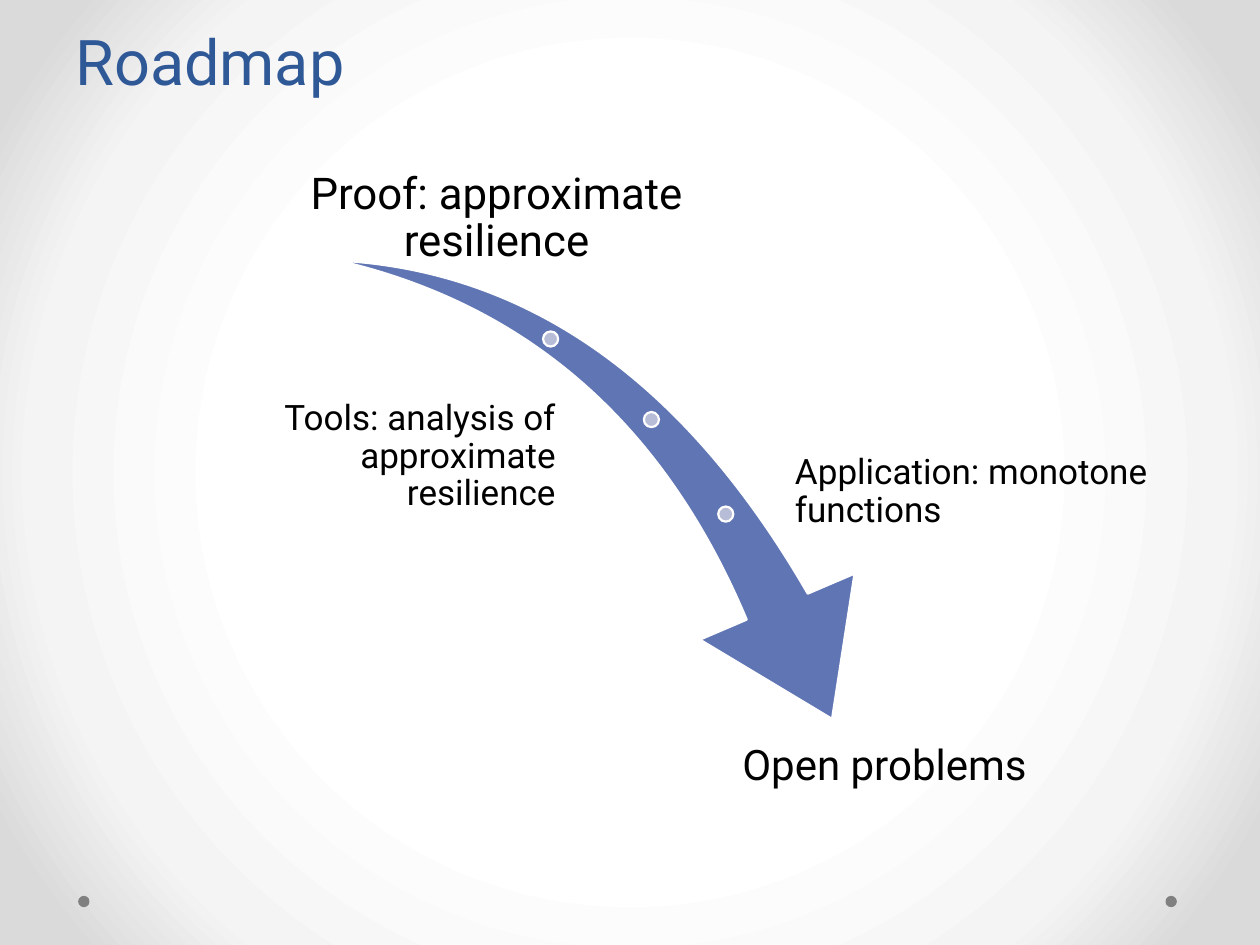
import pptx
import pptx.util
import pptx.dml.color
import pptx.enum.shapes
import pptx.enum.text
import pptx.oxml
import pptx.oxml.ns

SHAPES = pptx.enum.shapes.MSO_SHAPE
ALIGN = pptx.enum.text.PP_ALIGN
ANCHOR = pptx.enum.text.MSO_ANCHOR

WIDTH = pptx.util.Inches(10)
HEIGHT = pptx.util.Inches(7.5)
FONT = "Roboto"
COLORS = {
    "title": "2F5897",
    "text": "000000",
    "arrow": "6076B4",
    "milestone": "B7BDD6",
    "outline": "FFFFFF",
    "corner": "808080",
}
BACKDROP = {50: "FFFFFF", 76: "F4F4F4", 92: "DADADA"}


def color(name):
    return pptx.dml.color.RGBColor.from_string(COLORS[name])


def box(left, top, width, height):
    return (int(WIDTH * left / 100), int(HEIGHT * top / 100),
            int(WIDTH * width / 100), int(HEIGHT * height / 100))


def paint_backdrop(slide):
    slide.background.fill.gradient()
    gradient = slide.element.find(".//" + pptx.oxml.ns.qn("a:gradFill"))
    stops = "".join(
        f'<a:gs pos="{share * 1000}"><a:srgbClr val="{tone}"/></a:gs>'
        for share, tone in BACKDROP.items())
    radial = pptx.oxml.parse_xml(
        f'<a:gradFill {pptx.oxml.ns.nsdecls("a")} rotWithShape="1">'
        f'<a:gsLst>{stops}</a:gsLst><a:path path="circle">'
        '<a:fillToRect l="50000" t="50000" r="50000" b="50000"/>'
        '</a:path></a:gradFill>')
    gradient.getparent().replace(gradient, radial)


def add_figure(slide, kind, bounds, fill, outlined=True):
    figure = slide.shapes.add_shape(kind, *bounds)
    figure.shadow.inherit = False
    figure.fill.solid()
    figure.fill.fore_color.rgb = color(fill)
    if outlined:
        figure.line.color.rgb = color("outline")
        figure.line.width = pptx.util.Pt(1.25)
    else:
        figure.line.fill.background()
    return figure


def add_dot(slide, left, top, diameter, fill, outlined=True):
    bounds = box(left, top, diameter, diameter * WIDTH / HEIGHT)
    add_figure(slide, SHAPES.OVAL, bounds, fill, outlined)


def add_text(slide, text, bounds, size=20, tone="text", align=ALIGN.LEFT,
             anchor=ANCHOR.MIDDLE, spacing=0.9, inset=(0.03, 0.03)):
    frame = slide.shapes.add_textbox(*bounds).text_frame
    frame.word_wrap = True
    frame.vertical_anchor = anchor
    side, edge = map(pptx.util.Inches, inset)
    frame.margin_left = frame.margin_right = side
    frame.margin_top = frame.margin_bottom = edge
    paragraph = frame.paragraphs[0]
    paragraph.alignment = align
    paragraph.line_spacing = spacing
    run = paragraph.add_run()
    run.text = text
    run.font.name = FONT
    run.font.size = pptx.util.Pt(size)
    run.font.color.rgb = color(tone)


def main():
    deck = pptx.Presentation()
    deck.slide_width, deck.slide_height = WIDTH, HEIGHT
    slide = deck.slides.add_slide(deck.slide_layouts[6])
    paint_backdrop(slide)

    for left in (6.2, 92.5):
        add_dot(slide, left, 94.8, 0.9, "corner", outlined=False)

    add_text(slide, "Roadmap", box(5, 0, 90, 11.07), size=36, tone="title",
             anchor=ANCHOR.BOTTOM, spacing=pptx.util.Pt(58),
             inset=(0.1, 0.05))

    road = add_figure(slide, SHAPES.SWOOSH_ARROW,
                      box(25.8, 29.47, 46.1, 42.8), "arrow")
    road.rotation = 73.3
    road.adjustments[0], road.adjustments[1] = 0.163, 0.314

    for left, top in ((43.1, 35.07), (51.1, 43.6), (57, 53.6)):
        add_dot(slide, left, top, 1.2, "milestone")

    add_text(slide, "Proof: approximate resilience",
             box(23.3, 17.2, 32.2, 11.33), size=25, align=ALIGN.CENTER,
             anchor=ANCHOR.BOTTOM)
    add_text(slide, "Tools: analysis of approximate resilience",
             box(19.2, 42.67, 25.2, 11.33), align=ALIGN.RIGHT)
    add_text(slide, "Application: monotone functions",
             box(62.8, 46.4, 30.3, 11.33))
    add_text(slide, "Open problems", box(55.5, 78.4, 29.4, 6.4), size=24,
             align=ALIGN.CENTER, anchor=ANCHOR.TOP)

    deck.save("out.pptx")


if __name__ == "__main__":
    main()
